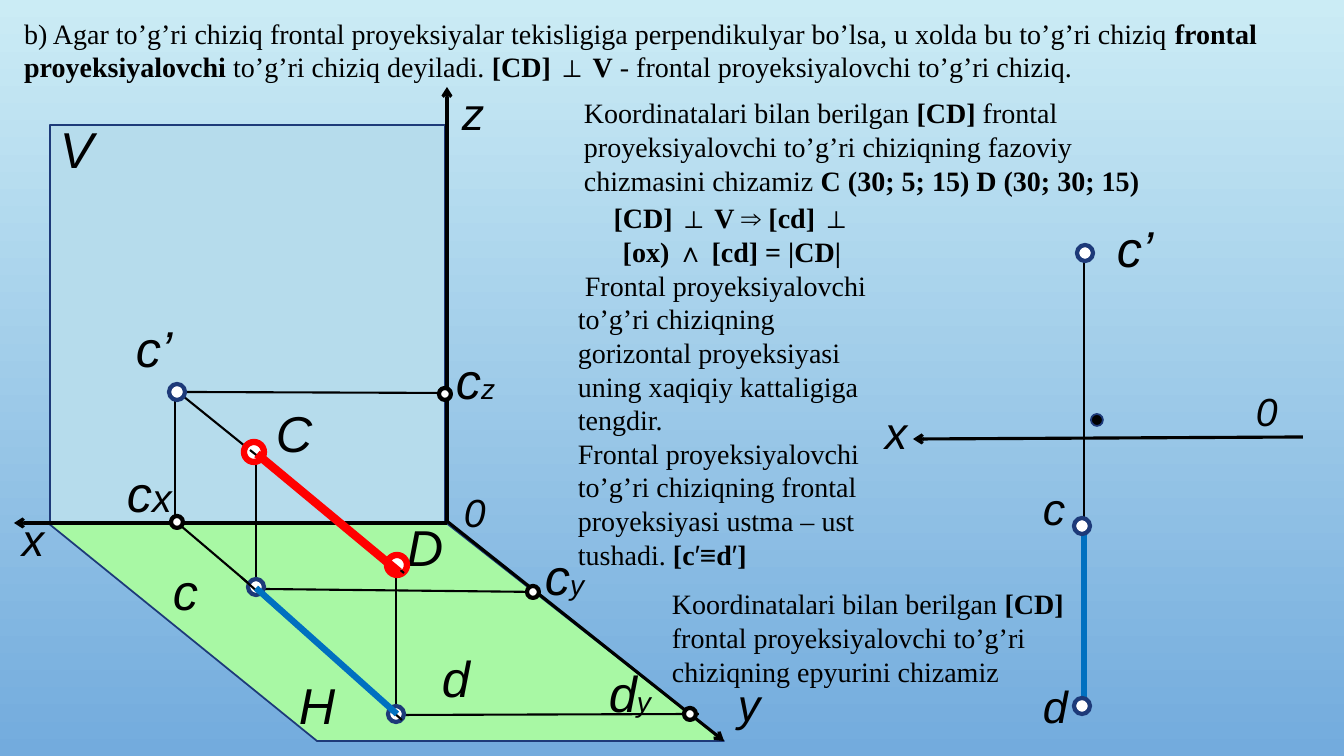
from itertools import groupby

from lxml import etree
from pptx import Presentation
from pptx import util as u
from pptx.dml.color import RGBColor
from pptx.enum import shapes, text
from pptx.oxml.ns import qn

PX = 914400 / 100.8
COLORS = {"black": "000000", "white": "FFFFFF", "navy": "1D3A79", "red": "FF0000", "blue": "0070C0",
          "wall": "B6DCEC", "floor": "A8F8A4", "sky": "CBECF5", "deep": "73ABDD"}
SERIF, SANS = "Times New Roman", "Arial"
SYMBOLS = "⊥⇒∧′≡"

# ** switches bold on and off
TITLE = ("b) Agar to’g’ri chiziq frontal proyeksiyalar tekisligiga perpendikulyar bo’lsa, u xolda bu "
         "to’g’ri chiziq **frontal proyeksiyalovchi** to’g’ri chiziq deyiladi. **[CD] ⊥ V** - frontal "
         "proyeksiyalovchi to’g’ri chiziq.")
TITLE_BOX = (14, 11, 1330, 80)
# paragraphs, box
NOTES = [
    (["Koordinatalari bilan berilgan **[CD]** frontal proyeksiyalovchi to’g’ri chiziqning fazoviy "
      "chizmasini chizamiz **C (30; 5; 15) D (30; 30; 15)**"], (574, 91, 587, 142)),
    (["Koordinatalari bilan berilgan **[CD]** frontal proyeksiyalovchi to’g’ri chiziqning epyurini "
      "chizamiz"], (662, 582, 431, 112)),
    (["**[CD] ⊥ V ⇒ [cd] ⊥ [ox) ∧ [cd] = |CD|**",
      "Frontal proyeksiyalovchi to’g’ri chiziqning gorizontal proyeksiyasi uning xaqiqiy kattaligiga tengdir.",
      "Frontal proyeksiyalovchi to’g’ri chiziqning frontal proyeksiyasi ustma – ust tushadi. **[c′≡d′]**"],
     (568, 196, 317, 383)),
]
# letter, left, top, size, subscript, subscript size
LABELS = [
    ("V", 50, 113, 36, "", 0), ("H", 289, 669, 36, "", 0), ("С", 266, 397, 36, "", 0),
    ("D", 397, 511, 36, "", 0), ("c’", 126, 312, 36, "", 0), ("c", 163, 555, 36, "", 0),
    ("d", 432, 642, 36, "", 0), ("z", 452, 81, 32, "", 0), ("x", 12, 507, 32, "", 0),
    ("y", 728, 672, 32, "", 0), ("0", 454, 483, 28, "", 0), ("c", 117, 457, 36, "x", 28),
    ("c", 446, 344, 36, "z", 20), ("c", 535, 540, 36, "y", 20), ("d", 599, 657, 36, "y", 20),
    ("c’", 1107, 212, 36, "", 0), ("c", 1033, 476, 32, "", 0), ("d", 1033, 674, 32, "", 0),
    ("x", 875, 400, 32, "", 0), ("0", 1246, 382, 28, "", 0),
]
WALL = (50, 125, 395, 399)
FLOOR = [(48, 523), (445, 522), (724, 741), (317, 741)]
PROJECTION_LINES = [
    (175, 524, 175, 389), (396, 714, 396, 567), (254, 588, 174, 520), (261, 459, 173, 388),
    (256, 587, 256, 452), (449, 393, 185, 392), (540, 592, 262, 589), (699, 714, 404, 715),
    (1084, 434, 1084, 252), (1084, 537, 1084, 434),
]
AXES = [(14, 523, 447, 523), (724, 741, 448, 522), (447, 87, 447, 523), (913, 439, 1303, 437)]
EPURE_SEGMENT = (1084, 710, 1084, 527)
# ends, colour, width
SEGMENTS = [
    ((404, 573, 250, 450), "black", 1.5), ((402, 720, 241, 577), "black", 1.5),
    ((257, 454, 399, 572), "red", 6), ((397, 714, 256, 588), "blue", 4.5),
]
# centres, diameter, fill, outline, outline width
POINTS = [
    ([(1097, 420)], 12, "black", "navy", 1.25),
    ([(177, 392), (256, 587), (396, 714), (1085, 253), (1082, 526), (1082, 706)], 16, "white", "navy", 3),
    ([(254, 452), (397, 565)], 20, "white", "red", 4.5),
    ([(177, 522), (445, 394), (533, 592), (690, 714)], 12, "white", "black", 3),
]


def emu(*lengths):
    return [u.Emu(round(length * PX)) for length in lengths]


def rgb(name):
    return RGBColor.from_string(COLORS[name])


def add_run(paragraph, words, size, font=SERIF, bold=False, italic=False):
    run = paragraph.add_run()
    run.text = words
    run.font.size, run.font.name = u.Pt(size), font
    run.font.bold, run.font.italic = bold, italic
    run.font.color.rgb = rgb("black")


def add_rich(paragraph, marked):
    """Add 20 pt text, with ** marking bold and math symbols set in the sans font."""
    for index, part in enumerate(marked.split("**")):
        for is_symbol, letters in groupby(part, key=lambda letter: letter in SYMBOLS):
            add_run(paragraph, "".join(letters), 20, font=SANS if is_symbol else SERIF,
                    bold=index % 2 == 1 and not is_symbol)


def add_box(box):
    frame = slide.shapes.add_textbox(*emu(*box)).text_frame
    frame.word_wrap = True
    return frame


def style(shape, fill, line, width):
    shape.shadow.inherit = False
    shape.fill.solid()
    shape.fill.fore_color.rgb = rgb(fill)
    shape.line.color.rgb = rgb(line)
    shape.line.width = u.Pt(width)


def add_line(ends, color="black", width=1.5, arrow=False):
    line = slide.shapes.add_connector(shapes.MSO_CONNECTOR.STRAIGHT, *emu(*ends))
    line.line.color.rgb = rgb(color)
    line.line.width = u.Pt(width)
    if arrow:
        etree.SubElement(line.line._get_or_add_ln(), qn("a:headEnd"), type="arrow")
    etree.SubElement(line._element.spPr, qn("a:effectLst"))


presentation = Presentation()
presentation.slide_width, presentation.slide_height = emu(1344, 756)
slide = presentation.slides.add_slide(presentation.slide_layouts[5])
background = slide.background.fill
background.gradient()
background.gradient_angle = 270
for stop, color in zip(background.gradient_stops, ("sky", "deep")):
    stop.color.rgb = rgb(color)

title = slide.shapes.title
title.left, title.top, title.width, title.height = emu(*TITLE_BOX)
title.text_frame.vertical_anchor = text.MSO_ANCHOR.TOP
title.text_frame.auto_size = text.MSO_AUTO_SIZE.NONE
title.text_frame.paragraphs[0].alignment = text.PP_ALIGN.LEFT
add_rich(title.text_frame.paragraphs[0], TITLE)

for paragraphs, box in NOTES:
    frame = add_box(box)
    for index, marked in enumerate(paragraphs):
        paragraph = frame.paragraphs[0] if index == 0 else frame.add_paragraph()
        if len(paragraphs) > 1 and index == 0:
            paragraph.alignment = text.PP_ALIGN.CENTER
            paragraph._p.get_or_add_pPr().set("marL", str(emu(11)[0]))
        elif index == 1:
            paragraph._p.get_or_add_pPr().set("indent", str(emu(7)[0]))
        add_rich(paragraph, marked)

style(slide.shapes.add_shape(shapes.MSO_SHAPE.RECTANGLE, *emu(*WALL)), "wall", "navy", 1.25)
builder = slide.shapes.build_freeform(*FLOOR[0], scale=PX)
builder.add_line_segments(FLOOR[1:], close=True)
style(builder.convert_to_shape(), "floor", "navy", 1.25)

for ends in PROJECTION_LINES:
    add_line(ends)
for ends in AXES:
    add_line(ends, width=2.25, arrow=True)
add_line(EPURE_SEGMENT, color="blue", width=4.5)

for letter, left, top, size, subscript, subscript_size in LABELS:
    paragraph = add_box((left, top, 80, 2 * size)).paragraphs[0]
    add_run(paragraph, letter, size, font=SANS, italic=True)
    if subscript:
        add_run(paragraph, subscript, subscript_size, font=SANS, italic=True)

for centres, diameter, fill, outline, width in POINTS:
    for x, y in centres:
        corner = (x - diameter / 2, y - diameter / 2)
        style(slide.shapes.add_shape(shapes.MSO_SHAPE.OVAL, *emu(*corner, diameter, diameter)),
              fill, outline, width)
for ends, color, width in SEGMENTS:
    add_line(ends, color=color, width=width)

presentation.save("out.pptx")
